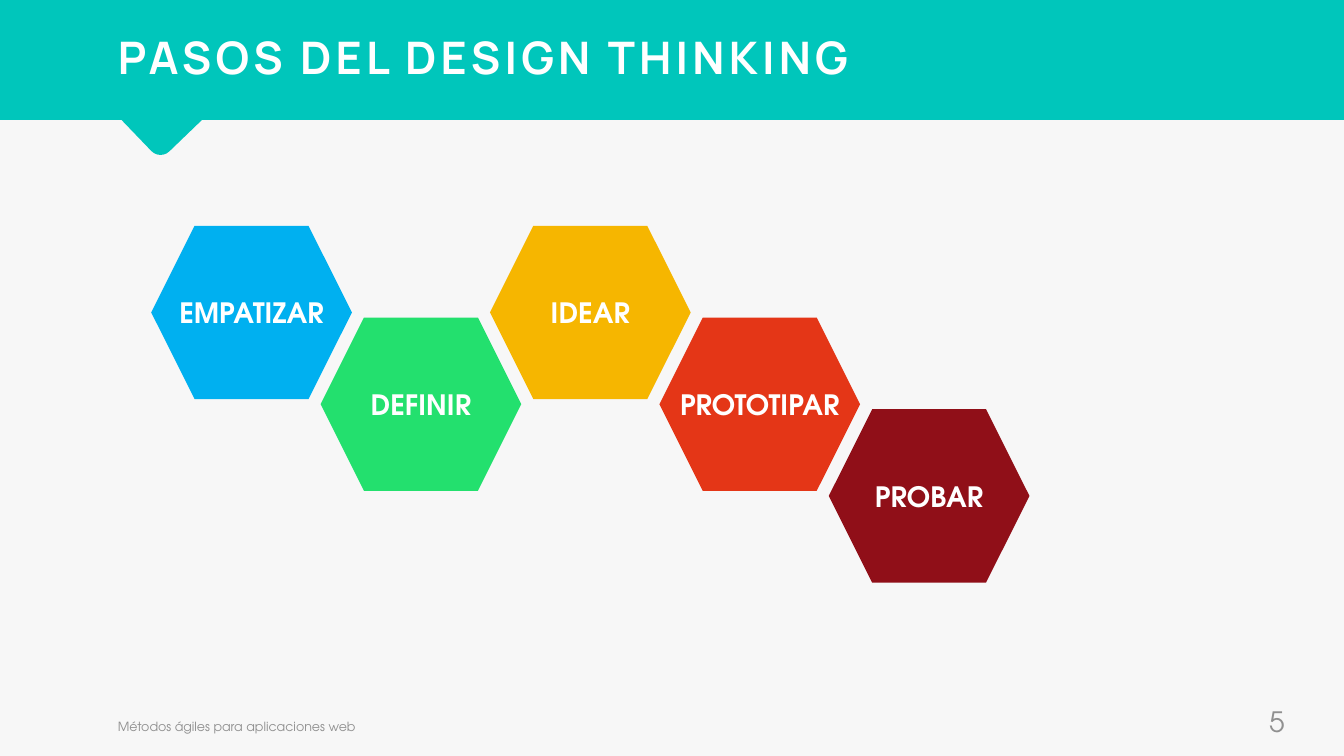
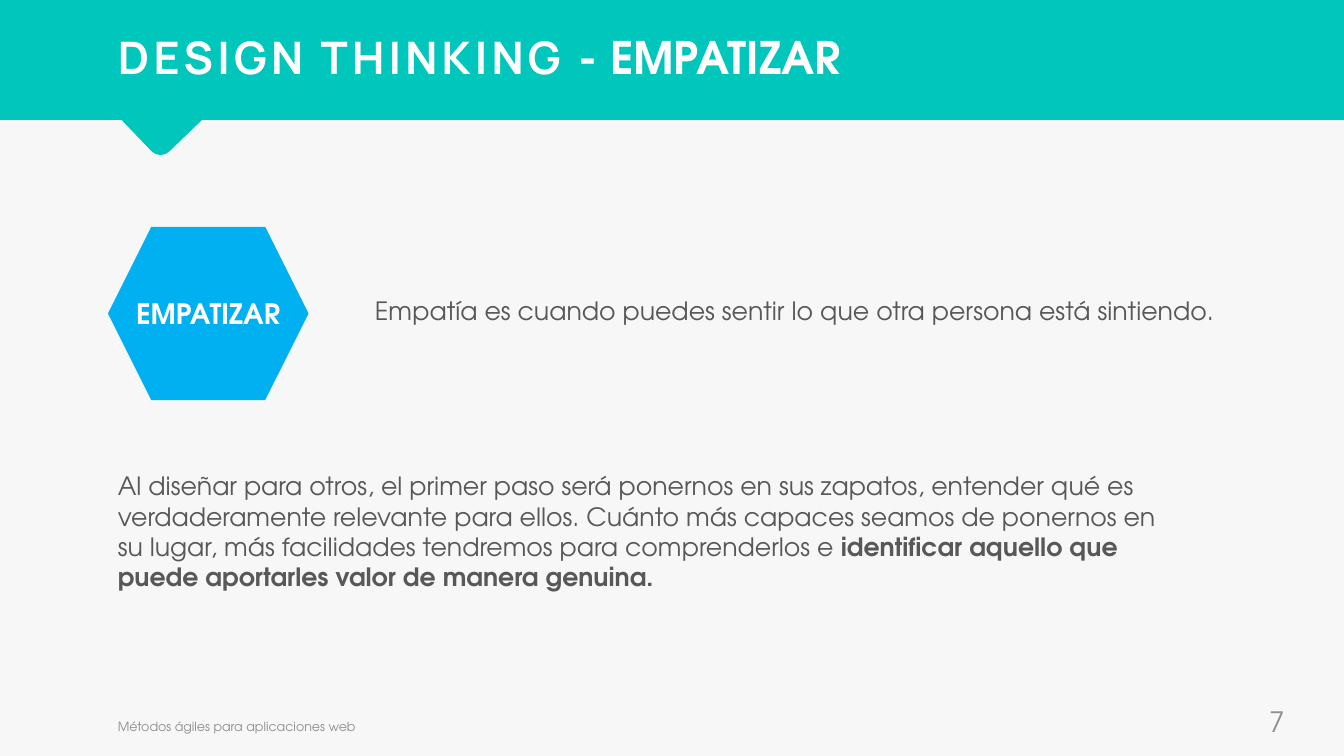
from pptx import Presentation
from pptx.dml.color import RGBColor
from pptx.enum.shapes import MSO_SHAPE
from pptx.enum.text import MSO_ANCHOR, MSO_AUTO_SIZE, PP_ALIGN
from pptx.util import Inches, Pt

RECT = MSO_SHAPE.RECTANGLE
ROUND = MSO_SHAPE.ROUNDED_RECTANGLE
HEXAGON = MSO_SHAPE.HEXAGON
TOP, MIDDLE, BOTTOM = MSO_ANCHOR.TOP, MSO_ANCHOR.MIDDLE, MSO_ANCHOR.BOTTOM
LEFT, CENTER, RIGHT = PP_ALIGN.LEFT, PP_ALIGN.CENTER, PP_ALIGN.RIGHT
NO_FIT = MSO_AUTO_SIZE.NONE

PAPER = RGBColor(0xF7, 0xF7, 0xF7)
TEAL = RGBColor(0x00, 0xC6, 0xBB)
WHITE = RGBColor(0xFF, 0xFF, 0xFF)
GREY = RGBColor(0x90, 0x90, 0x90)
DARK = RGBColor(0x58, 0x58, 0x58)
BLUE = RGBColor(0x00, 0xB0, 0xF0)
GREEN = RGBColor(0x23, 0xE0, 0x6E)
YELLOW = RGBColor(0xF6, 0xB6, 0x00)
RED = RGBColor(0xE4, 0x36, 0x17)
WINE = RGBColor(0x90, 0x0F, 0x18)

HEAD_FONT = "Manrope"
TEXT_FONT = "TeX Gyre Adventor"
WIDTH, HEIGHT = 13.33, 7.5
MARGIN = 1.07
HEX_W, HEX_H = 1.99, 1.72
STEP_X, STEP_Y = 1.68, 0.91

STEPS = [
    ("EMPATIZAR", BLUE, 0),
    ("DEFINIR", GREEN, 1),
    ("IDEAR", YELLOW, 0),
    ("PROTOTIPAR", RED, 1),
    ("PROBAR", WINE, 2),
]


def add_run(para, text, size, color, bold=False, font=TEXT_FONT, gap=0):
    run = para.add_run()
    run.text = text
    run.font.name = font
    run.font.size = Pt(size)
    run.font.bold = bold
    run.font.color.rgb = color
    if gap:
        run.font._element.set("spc", str(gap * 100))


def set_frame(shape, anchor, align, wrap=True):
    frame = shape.text_frame
    frame.auto_size = NO_FIT
    frame.word_wrap = wrap
    frame.vertical_anchor = anchor
    para = frame.paragraphs[0]
    para.alignment = align
    return para


def add_text(slide, box, runs, size, color, anchor=TOP, align=LEFT):
    shape = slide.shapes.add_textbox(*map(Inches, box))
    para = set_frame(shape, anchor, align)
    for text, bold in runs:
        add_run(para, text, size, color, bold)
    return shape


def add_block(slide, kind, box, color):
    shape = slide.shapes.add_shape(kind, *map(Inches, box))
    shape.shadow.inherit = False
    shape.fill.solid()
    shape.fill.fore_color.rgb = color
    shape.line.fill.background()
    return shape


def add_hex(slide, left, top, label, color):
    shape = add_block(slide, HEXAGON, (left, top, HEX_W, HEX_H), color)
    para = set_frame(shape, MIDDLE, CENTER, wrap=False)
    add_run(para, label, 20, WHITE, True)


def set_title(slide, runs):
    title = slide.shapes.title
    title.left, title.top = Inches(MARGIN), Inches(0.24)
    title.width, title.height = Inches(11.32), Inches(0.64)
    para = set_frame(title, TOP, LEFT)
    for text, font, gap in runs:
        add_run(para, text, 32, WHITE, True, font, gap)
    slide.shapes._spTree.append(title._element)


def add_slide(deck, number, title):
    slide = deck.slides.add_slide(deck.slide_layouts[5])
    add_block(slide, RECT, (0, 0, WIDTH, 1.19), TEAL)
    add_block(slide, ROUND, (1.15, 0.5, 1.28, 0.75), TEAL).rotation = 316.1
    set_title(slide, title)
    add_text(slide, (MARGIN, 6.93, 9.45, 0.4),
             [("Métodos ágiles para aplicaciones web", False)],
             9, GREY, BOTTOM)
    page = add_text(slide, (11.68, 6.71, 1.16, 0.62),
                    [(str(number), False)], 20, GREY, BOTTOM, RIGHT)
    page.text_frame.margin_bottom = Inches(0.01)
    return slide


def add_steps(deck):
    slide = add_slide(deck, 5, [("PASOS DEL DESIGN THINKING", HEAD_FONT, 3)])
    for col, (label, color, row) in enumerate(STEPS):
        add_hex(slide, 1.5 + col * STEP_X, 2.24 + row * STEP_Y, label, color)


def add_empathy(deck):
    slide = add_slide(deck, 7, [
        ("DESIGN THINKING ", HEAD_FONT, 3),
        ("- EMPATIZAR", TEXT_FONT, 0),
    ])
    label, color, _ = STEPS[0]
    add_hex(slide, MARGIN, 2.25, label, color)
    add_text(slide, (3.62, 2.88, 8.64, 0.4), [
        ("Empatía es cuando puedes sentir lo que otra persona está "
         "sintiendo.", False),
    ], 18, DARK)
    add_text(slide, (MARGIN, 4.62, 10.61, 1.31), [
        ("Al diseñar para otros, el primer paso será ponernos en sus "
         "zapatos, entender qué es verdaderamente relevante para ellos. "
         "Cuánto más capaces seamos de ponernos en su lugar, más "
         "facilidades tendremos para comprenderlos e ", False),
        ("identificar aquello que puede aportarles valor de manera "
         "genuina.", True),
    ], 18, DARK)


def main():
    deck = Presentation()
    deck.slide_width, deck.slide_height = Inches(WIDTH), Inches(HEIGHT)
    back = deck.slide_master.background.fill
    back.solid()
    back.fore_color.rgb = PAPER
    add_steps(deck)
    add_empathy(deck)
    deck.save("out.pptx")


if __name__ == "__main__":
    main()
